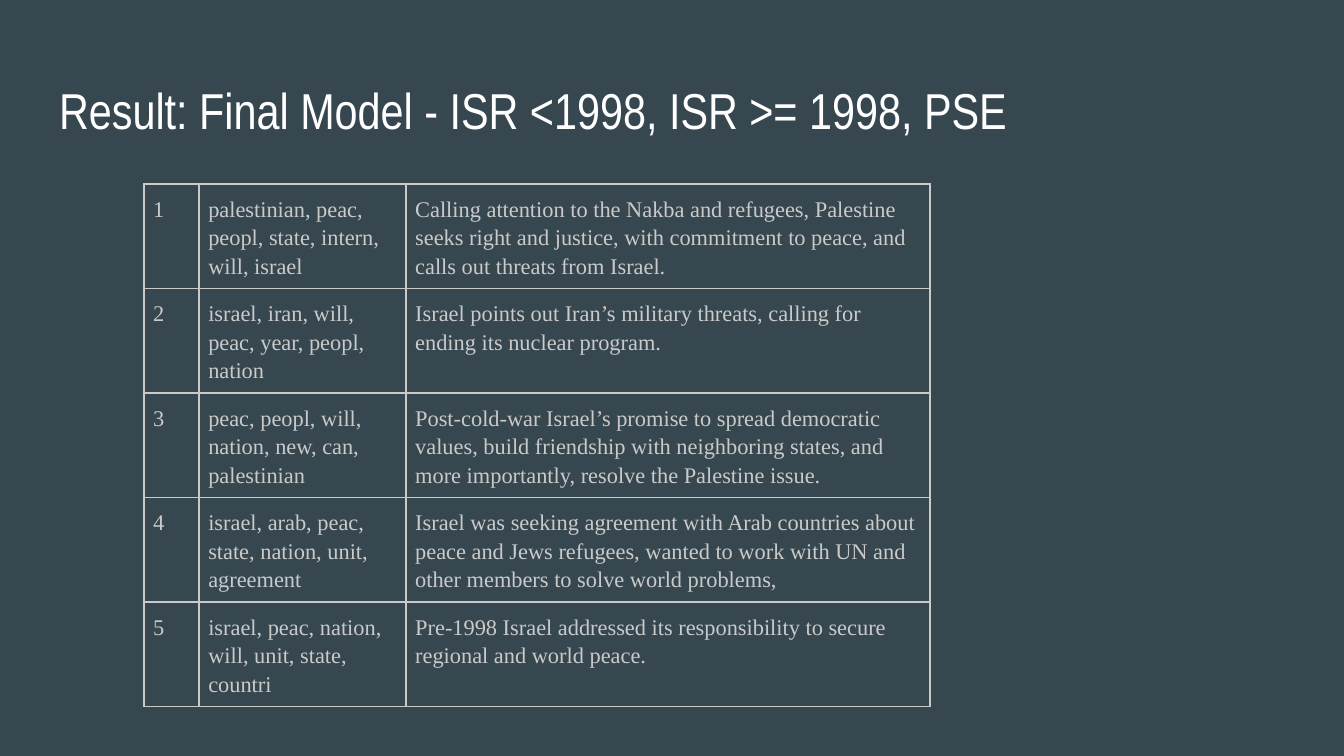
"""Build the slide listing the five topics of the final model."""
from lxml.etree import SubElement
from pptx import Presentation
from pptx.dml.color import RGBColor as Rgb
from pptx.enum.text import MSO_ANCHOR as Anchor, PP_ALIGN as Align
from pptx.oxml.ns import qn
from pptx.util import Inches, Pt

THEME = {
    "background": "37474F",
    "title": {"name": "Arial Narrow", "size": Pt(27), "color": "FFFFFF"},
    "body": {"name": "Times New Roman", "size": Pt(12), "color": "CACACA"},
    "border": {"color": "CACACA", "width": Pt(1)},
}
TOPICS = [
    ("1", "palestinian, peac, peopl, state, intern, will, israel",
     "Calling attention to the Nakba and refugees, Palestine seeks right and justice, "
     "with commitment to peace, and calls out threats from Israel."),
    ("2", "israel, iran, will, peac, year, peopl, nation",
     "Israel points out Iran’s military threats, calling for ending its nuclear program."),
    ("3", "peac, peopl, will, nation, new, can, palestinian",
     "Post-cold-war Israel’s promise to spread democratic values, build friendship with "
     "neighboring states, and more importantly, resolve the Palestine issue."),
    ("4", "israel, arab, peac, state, nation, unit, agreement",
     "Israel was seeking agreement with Arab countries about peace and Jews refugees, "
     "wanted to work with UN and other members to solve world problems,"),
    ("5", "israel, peac, nation, will, unit, state, countri",
     "Pre-1998 Israel addressed its responsibility to secure regional and world peace."),
]
COLUMN_WIDTHS = [0.41, 1.54, 3.9]
ROW_HEIGHT = 0.77
SIDES = ("left", "top", "right", "bottom")


def write(paragraph, text, style):
    run = paragraph.add_run()
    run.text = text
    run.font.name = style["name"]
    run.font.size = style["size"]
    run.font.color.rgb = Rgb.from_string(style["color"])


def draw_borders(cell):
    properties = cell._tc.get_or_add_tcPr()
    for edge in ("a:lnL", "a:lnR", "a:lnT", "a:lnB"):
        line = SubElement(properties, qn(edge), w=str(THEME["border"]["width"]))
        fill = SubElement(line, qn("a:solidFill"))
        SubElement(fill, qn("a:srgbClr"), val=THEME["border"]["color"])


deck = Presentation()
deck.slide_width = Inches(10)
deck.slide_height = deck.slide_width * 9 // 16
slide = deck.slides.add_slide(deck.slide_layouts[5])
slide.background.fill.solid()
slide.background.fill.fore_color.rgb = Rgb.from_string(THEME["background"])

heading = slide.shapes.title
title_box = {"left": 0.34, "top": 0.49, "width": 9.32, "height": 0.63}
for attribute, length in title_box.items():
    setattr(heading, attribute, Inches(length))
for side in SIDES:
    setattr(heading.text_frame, f"margin_{side}", Inches(0.1))
heading.text_frame.vertical_anchor = Anchor.TOP
heading_line = heading.text_frame.paragraphs[0]
heading_line.alignment = Align.LEFT
write(heading_line, "Result: Final Model - ISR <1998, ISR >= 1998, PSE", THEME["title"])

topics = slide.shapes.add_table(
    len(TOPICS), len(COLUMN_WIDTHS), Inches(1.07), Inches(1.37),
    Inches(sum(COLUMN_WIDTHS)), Inches(ROW_HEIGHT * len(TOPICS))).table
topics.first_row = topics.horz_banding = False
for column, width in zip(topics.columns, COLUMN_WIDTHS):
    column.width = Inches(width)

for row, topic in zip(topics.rows, TOPICS):
    row.height = Inches(ROW_HEIGHT)
    for cell, text in zip(row.cells, topic):
        for side in SIDES:
            setattr(cell, f"margin_{side}", Inches(0.07))
        draw_borders(cell)
        cell.fill.background()
        entry = cell.text_frame.paragraphs[0]
        entry.line_spacing = 1.15
        write(entry, text, THEME["body"])

deck.save("out.pptx")
